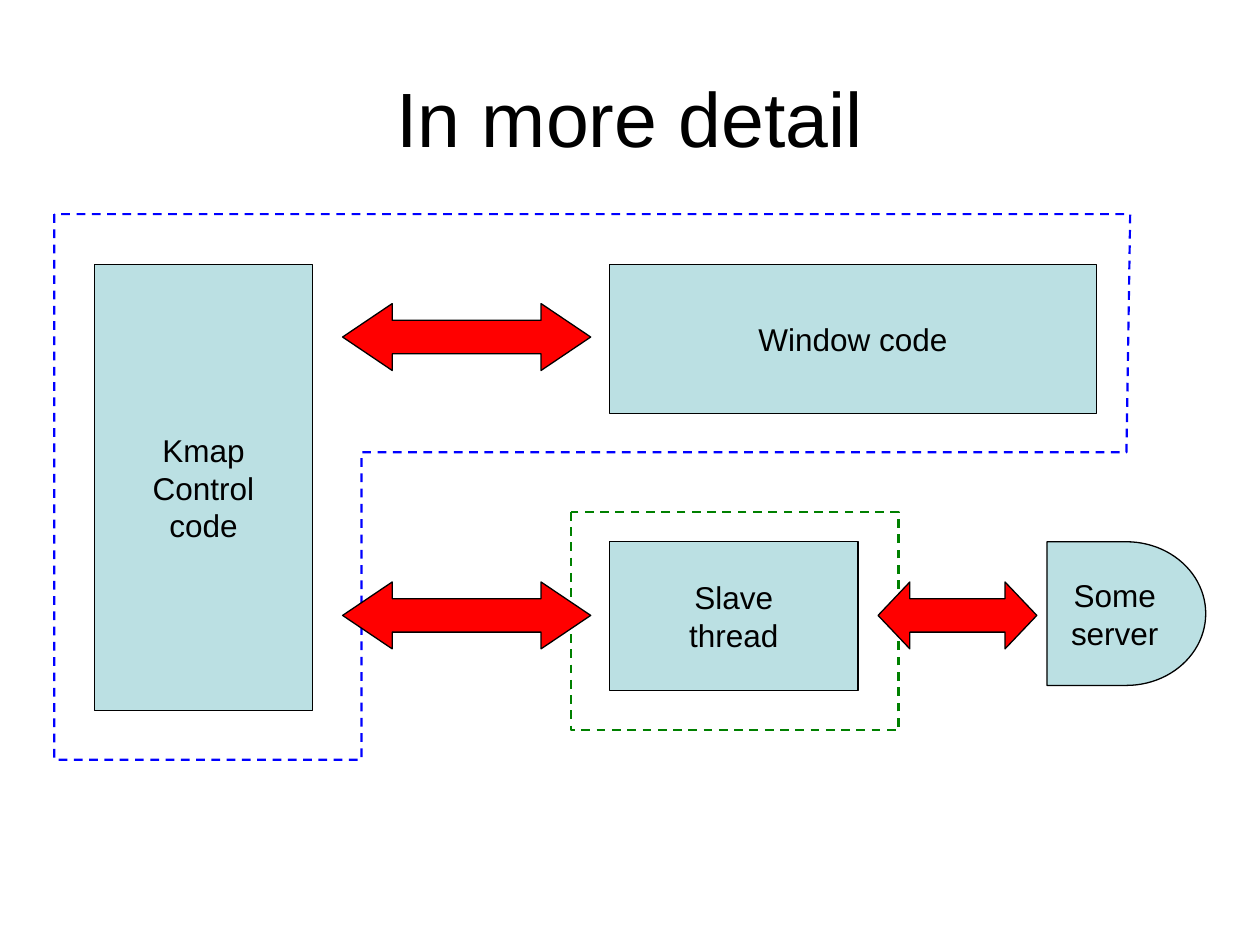
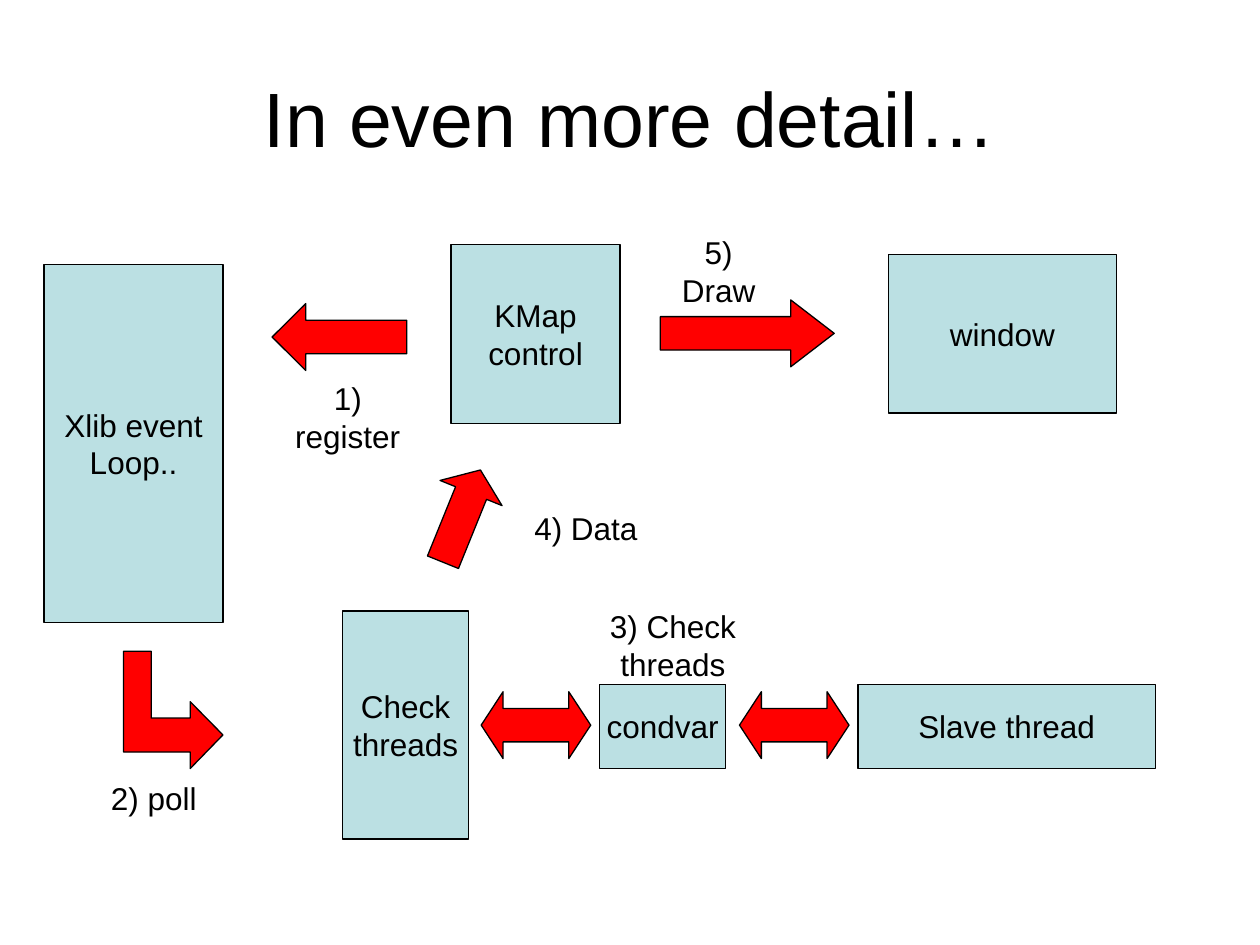
from dataclasses import dataclass
from pptx import Presentation
from pptx.util import Pt
from pptx.dml.color import RGBColor as Rgb
from pptx.enum.dml import MSO_LINE as Dash
from pptx.enum.shapes import MSO_SHAPE as Kind
from pptx.enum.text import MSO_ANCHOR as Anchor, MSO_AUTO_SIZE as Auto, PP_ALIGN as Align


@dataclass(frozen=True)
class Theme:
    """Colours, type sizes and line widths of the deck."""
    ink: str = "000000"
    box: str = "BBE0E3"
    arrow: str = "FF0000"
    blue: str = "0000FF"
    green: str = "008000"
    font: str = "Arial"
    title: int = 44
    body: int = 18
    thin: float = 0.74
    dash: float = 1.25


THEME = Theme()
SIZE = (720, 540)
TITLE = (36, 21.6, 648, 90)
DEEP = 38.2  # height of every straight arrow
TALL = 28.8  # height of a one-line label
BOX, DELAY = Kind.FLOWCHART_PROCESS, Kind.FLOWCHART_DELAY
BOTH, LEFT, RIGHT = Kind.LEFT_RIGHT_ARROW, Kind.LEFT_ARROW, Kind.RIGHT_ARROW
HEAD = {BOTH: 0.2, LEFT: 0.25, RIGHT: 0.25}  # head length / arrow length

# boxes: text, kind, (left, top, width, height)
# arrows: kind, left, top, width, turn in degrees
# labels: text, left, top, width
# frames, bends: corner points
SLIDES = [
    dict(
        title="In more detail",
        boxes=[
            ("Kmap\nControl\ncode", BOX, (54, 151.2, 124.6, 254.9)),
            ("Window code", BOX, (348.5, 151.2, 277.9, 85)),
            ("Slave\nthread", BOX, (348.5, 309.6, 141.8, 85)),
            ("Some\nserver", DELAY, (598.3, 309.6, 90.7, 82.1)),
        ],
        frames=[
            (THEME.blue, [(31, 122.4), (31, 434.2), (206.6, 434.2),
                          (206.6, 258.5), (643.7, 258.5), (645.8, 122.4)]),
            (THEME.green, [(326.2, 292.5), (326.2, 417.4),
                           (513.4, 417.4), (513.4, 292.5)]),
        ],
        arrows=[
            (BOTH, 195.8, 173.5, 141.8, 0),
            (BOTH, 195.8, 332.6, 141.8, 0),
            (BOTH, 501.8, 332.6, 90.7, 0),
        ],
    ),
    dict(
        title="In even more detail…",
        boxes=[
            ("Xlib event\nLoop..", BOX, (25.2, 151.2, 102.2, 204.5)),
            ("KMap\ncontrol", BOX, (257.8, 139.7, 96.5, 102.2)),
            ("window", BOX, (507.6, 145.4, 130.3, 90.7)),
            ("Check\nthreads", BOX, (195.8, 349.2, 72, 130.3)),
            ("Slave thread", BOX, (490.3, 391, 169.9, 48.2)),
            ("condvar", BOX, (342.7, 391, 72, 48.2)),
        ],
        arrows=[
            (LEFT, 155.5, 173.5, 77, 0),
            (RIGHT, 377.3, 171.4, 99.4, 0),
            (RIGHT, 235.4, 275.8, 56.9, 292.1),
            (BOTH, 275, 395.3, 62.6, 0),
            (BOTH, 422.6, 395.3, 62.6, 0),
        ],
        bends=[
            [(86.4, 372.2), (86.4, 410.4), (108.7, 410.4), (108.7, 401),
             (127.4, 420), (108.7, 439.2), (108.7, 429.8), (70.6, 429.8),
             (70.6, 372.2)],
        ],
        labels=[
            ("1) register", 151.2, 213.1, 95),
            ("2) poll", 56.2, 441.4, 63.4),
            ("3) Check threads", 308.9, 343.4, 151.2),
            ("4) Data", 298.1, 287.3, 73.4),
            ("5) Draw", 372.2, 129.6, 77),
        ],
    ),
]


def pts(vals):
    """Turn plain numbers into lengths in points."""
    return [Pt(val) for val in vals]


def write(frame, text, size=THEME.body, wrap=False, anchor=Anchor.MIDDLE, auto=Auto.NONE):
    """Fill a text frame with centred lines in the deck's font."""
    frame.text = text
    frame.word_wrap, frame.auto_size = wrap, auto
    frame.vertical_anchor = anchor
    for para in frame.paragraphs:
        para.alignment = Align.CENTER
        for run in para.runs:
            run.font.name, run.font.size = THEME.font, Pt(size)
            run.font.color.rgb = Rgb.from_string(THEME.ink)


def paint(shape, fill=None, line=THEME.ink, width=THEME.thin, dash=None):
    """Set fill and line of a shape and drop its shadow."""
    shape.shadow.inherit = False
    if fill:
        shape.fill.solid()
        shape.fill.fore_color.rgb = Rgb.from_string(fill)
    else:
        shape.fill.background()
    shape.line.color.rgb = Rgb.from_string(line)
    shape.line.width = Pt(width)
    if dash:
        shape.line.dash_style = dash


def trace(shapes, spots):
    """Draw a closed outline through the given points."""
    first, *rest = [pts(spot) for spot in spots]
    pen = shapes.build_freeform(*first)
    pen.add_line_segments(rest, close=True)
    return pen.convert_to_shape()


def point(shapes, kind, left, top, width, turn):
    """Draw a block arrow whose head is a fixed share of its length."""
    shape = shapes.add_shape(kind, *pts((left, top, width, DEEP)))
    shape.adjustments[0] = 0.5
    shape.adjustments[1] = HEAD[kind] * width / DEEP
    shape.rotation = turn
    paint(shape, THEME.arrow)


def build(deck, data):
    """Add one slide from its content."""
    shapes = deck.slides.add_slide(deck.slide_layouts[5]).shapes
    head = shapes.title
    head.left, head.top, head.width, head.height = pts(TITLE)
    write(head.text_frame, data["title"], size=THEME.title, wrap=True)
    for text, kind, area in data["boxes"]:
        shape = shapes.add_shape(kind, *pts(area))
        paint(shape, THEME.box)
        write(shape.text_frame, text)
    for tint, spots in data.get("frames", []):
        paint(trace(shapes, spots), line=tint, width=THEME.dash, dash=Dash.DASH)
    for arrow in data["arrows"]:
        point(shapes, *arrow)
    for spots in data.get("bends", []):
        paint(trace(shapes, spots), THEME.arrow)
    for text, left, top, width in data.get("labels", []):
        label = shapes.add_textbox(*pts((left, top, width, TALL)))
        write(label.text_frame, text, anchor=Anchor.TOP, auto=Auto.SHAPE_TO_FIT_TEXT)


deck = Presentation()
deck.slide_width, deck.slide_height = pts(SIZE)
for data in SLIDES:
    build(deck, data)
deck.save("out.pptx")
